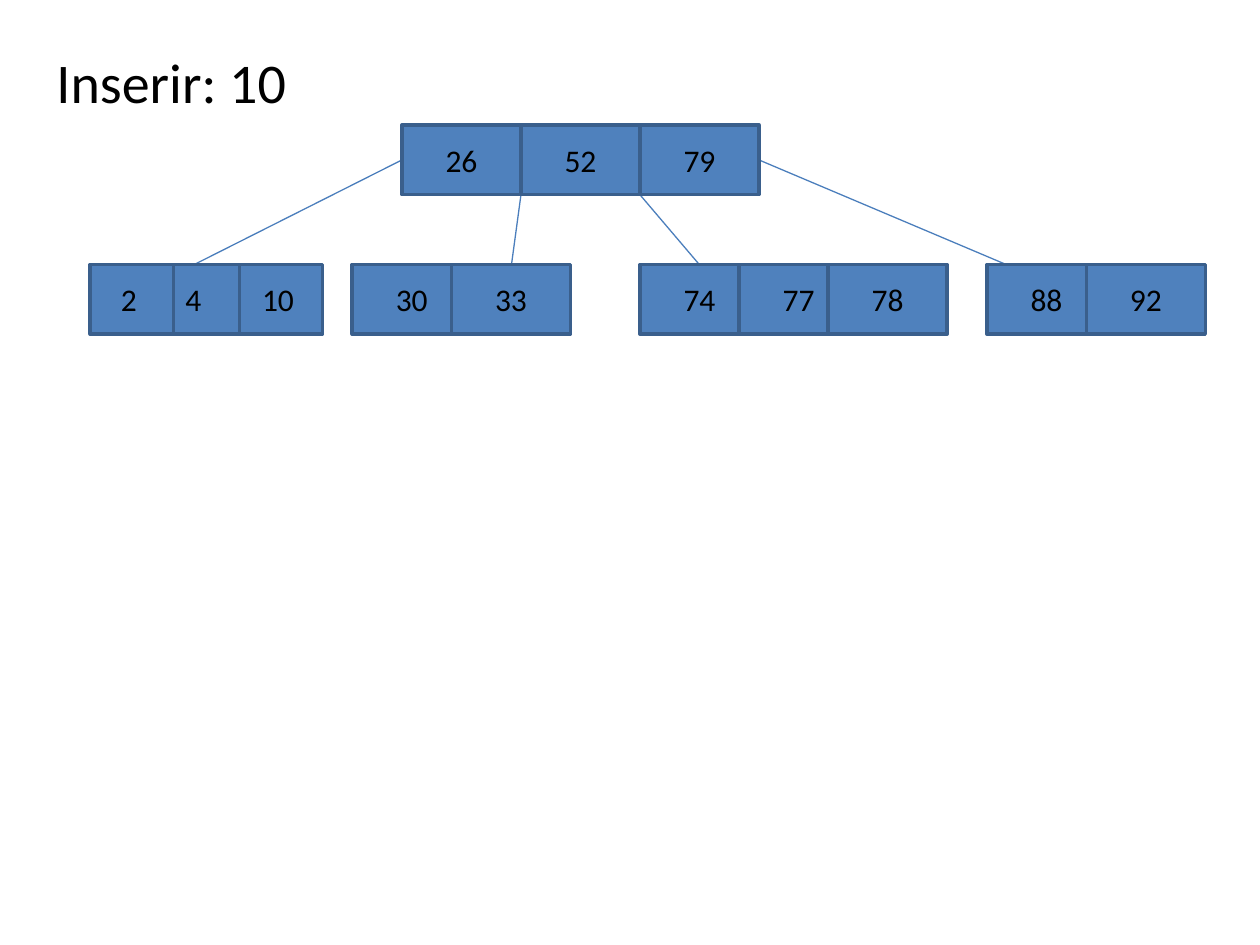
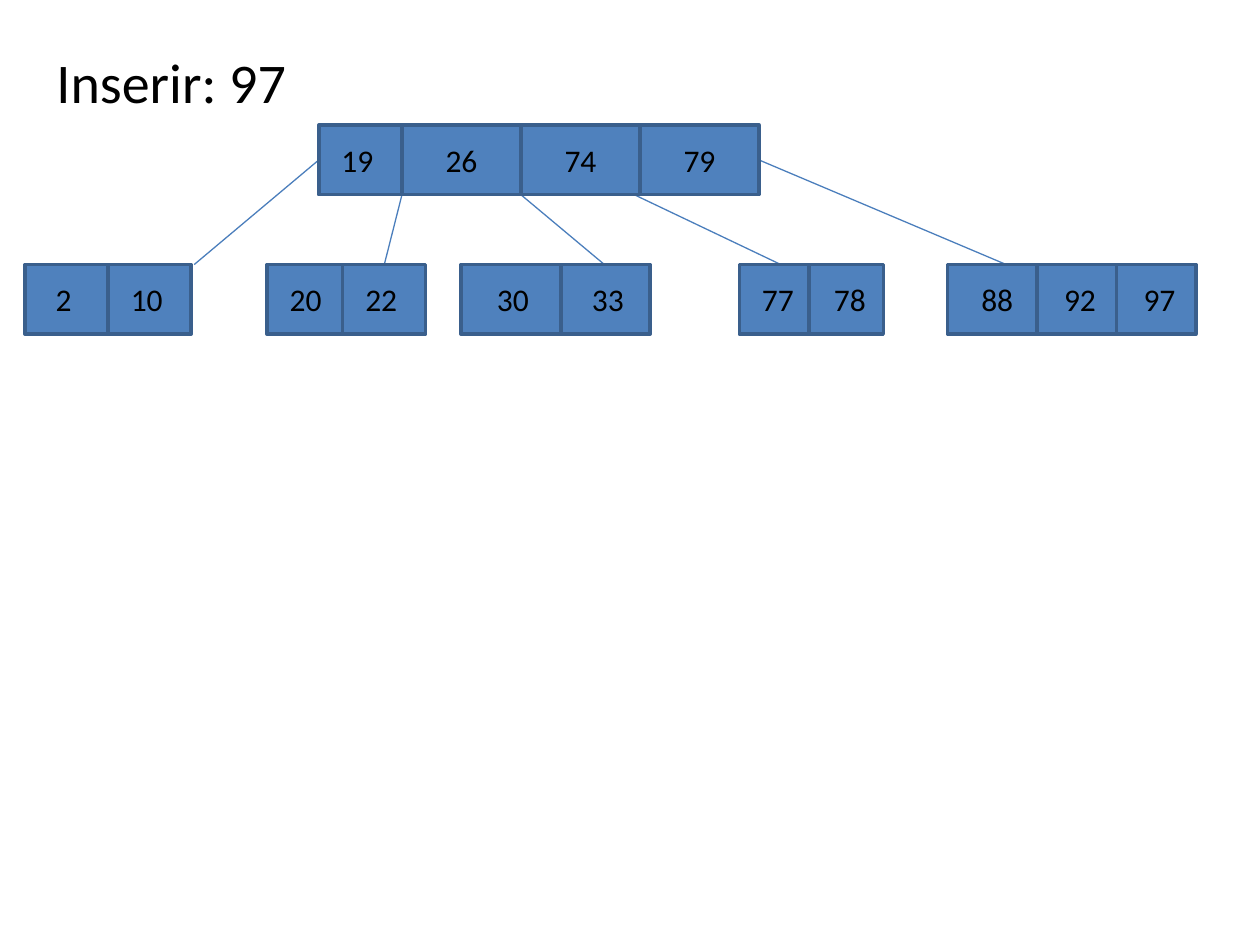
from pptx import Presentation
from pptx.dml.color import RGBColor
from pptx.enum.shapes import MSO_CONNECTOR, MSO_SHAPE
from pptx.enum.text import MSO_ANCHOR, PP_ALIGN
from pptx.oxml.ns import qn
from pptx.util import Pt
from lxml import etree

RECT = MSO_SHAPE.RECTANGLE
LINE = MSO_CONNECTOR.STRAIGHT
LEFT, MID = PP_ALIGN.LEFT, PP_ALIGN.CENTER
TOP, MIDDLE = MSO_ANCHOR.TOP, MSO_ANCHOR.MIDDLE

HUES = {"fill": "4F81BD", "edge": "3A5F8C", "link": "4B7EBC", "ink": "000000"}
ROOT, LEAF, HIGH = 71.5, 151.2, 39.8
BASE, SIDE = ROOT + HIGH, ROOT + HIGH / 2
WIDE, SLIM = 68, 47.5


def hue(name):
    return RGBColor.from_string(HUES[name])


def write(box, text, size=18, align=MID, anchor=TOP):
    frame = box.text_frame
    frame.word_wrap = True
    frame.vertical_anchor = anchor
    para = frame.paragraphs[0]
    para.alignment = align
    run = para.add_run()
    run.text = text
    run.font.size = Pt(size)
    run.font.name = "Calibri"
    run.font.color.rgb = hue("ink")


class Deck:
    """Draws search trees, one slide at a time."""

    def __init__(self):
        self.show = Presentation()
        self.show.slide_width, self.show.slide_height = Pt(720), Pt(540)

    def page(self, title):
        self.slide = self.show.slides.add_slide(self.show.slide_layouts[6])
        self.text(title, 25.2, 20.9, 476, 51, size=32, align=LEFT, anchor=MIDDLE)

    def text(self, text, x, y, wide, high, **style):
        box = self.slide.shapes.add_textbox(Pt(x), Pt(y), Pt(wide), Pt(high))
        write(box, text, **style)

    def cell(self, key, x, y, wide):
        box = self.slide.shapes.add_shape(RECT, Pt(x), Pt(y), Pt(wide), Pt(HIGH))
        box.shadow.inherit = False
        box.fill.solid()
        box.fill.fore_color.rgb = hue("fill")
        box.line.color.rgb = hue("edge")
        box.line.width = Pt(2)
        inset = 2.2 if wide == SLIM else 5.6
        self.text(str(key), x + inset, y + 5.4, wide * 0.835, 28.8)

    def node(self, y, *cells):
        for key, x, wide in cells:
            self.cell(key, x, y, wide)

    def link(self, x, y, end):
        line = self.slide.shapes.add_connector(LINE, Pt(x), Pt(y), Pt(end), Pt(LEAF))
        line.line.color.rgb = hue("link")
        line.line.width = Pt(0.75)
        etree.SubElement(line._element.spPr, qn("a:effectLst"))

    def tree(self, title, links, root, *leaves):
        self.page(title)
        for x, y, end in links:
            self.link(x, y, end)
        self.node(ROOT, *root)
        for leaf in leaves:
            self.node(LEAF, *leaf)


def trio(*keys):
    return [(key, 229.7 + i * WIDE, WIDE) for i, key in enumerate(keys)]


deck = Deck()
deck.tree(
    "Inserir: 10",
    [(229.7, SIDE, 111), (297.7, BASE, 292.3), (365.7, BASE, 399.6),
     (433.7, SIDE, 575)],
    trio(26, 52, 79),
    [(4, 76.5, WIDE), (2, 51.6, SLIM), (10, 136.8, SLIM)],
    [(30, 201.3, WIDE), (33, 258, WIDE)],
    [(74, 365.7, WIDE), (77, 422.4, WIDE), (78, 473.2, WIDE)],
    [(88, 564, WIDE), (92, 620.8, WIDE)],
)
deck.tree(
    "Inserir: 97",
    [(182.2, SIDE, 111), (229.7, BASE, 219.6), (297.7, BASE, 345.4),
     (362.5, BASE, 446.2), (433.7, SIDE, 575)],
    [(19, 182.2, SLIM)] + trio(26, 74, 79),
    [(2, 14.3, SLIM), (10, 61.8, SLIM)],
    [(20, 152.6, SLIM), (22, 195.8, SLIM)],
    [(30, 263.5, 57.5), (33, 320.5, 51)],
    [(77, 422.5, SLIM), (78, 462.3, 42.5)],
    [(88, 541.5, 54.5), (92, 592.6, 45.4), (97, 638, 45.4)],
)
deck.show.save("out.pptx")
